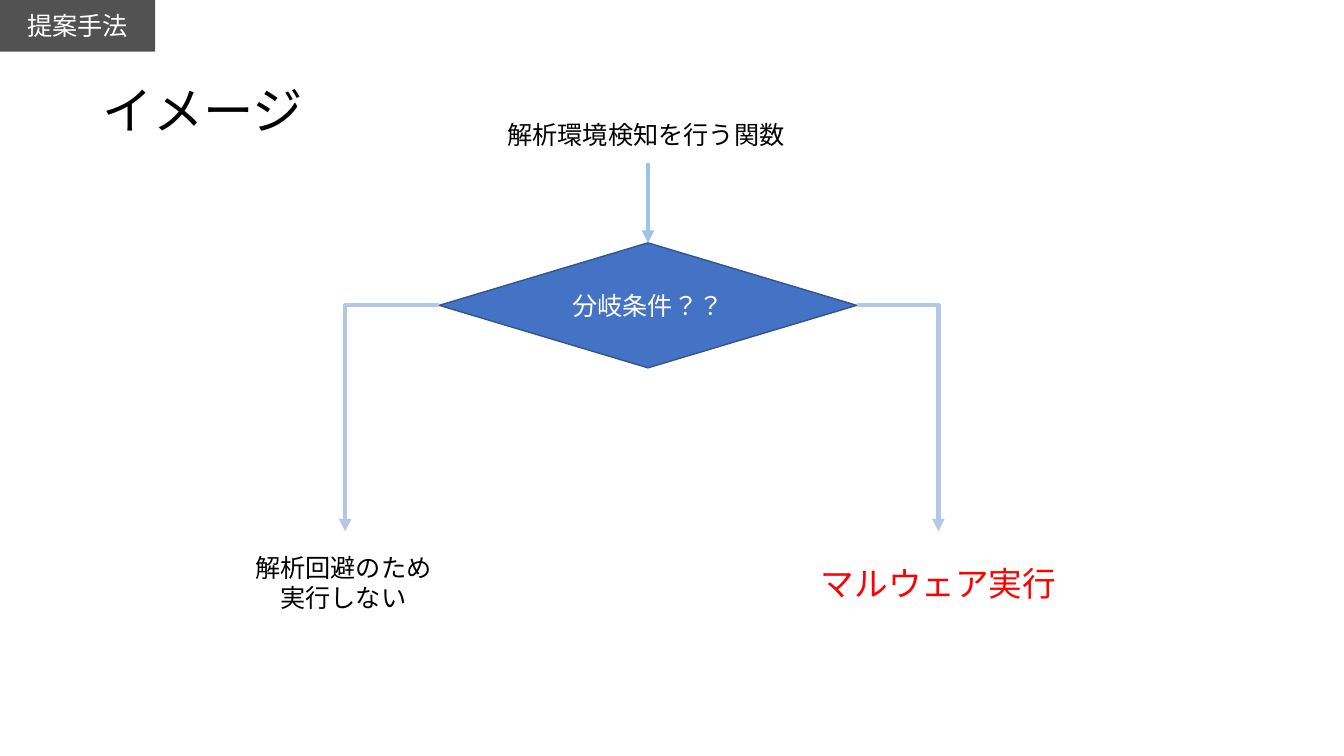
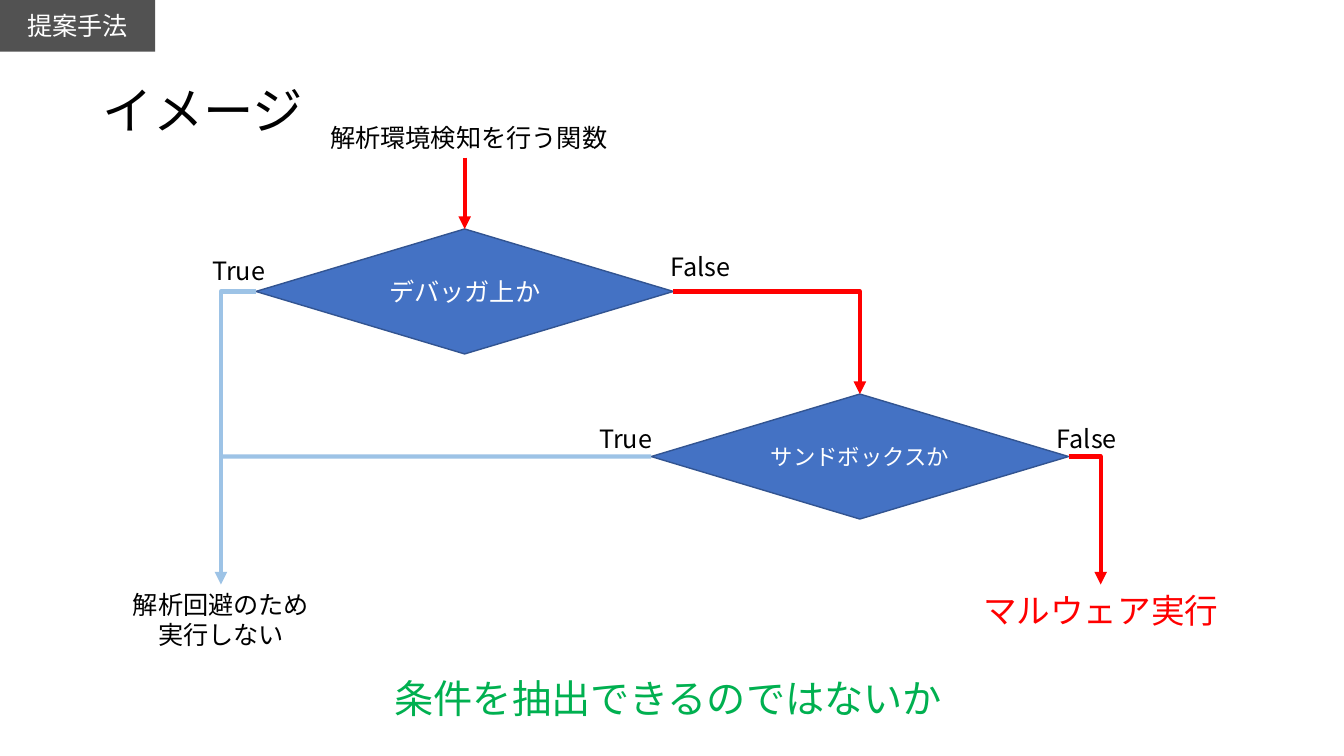
from lxml.etree import SubElement
from pptx import Presentation
from pptx.dml.color import RGBColor
from pptx.enum.lang import MSO_LANGUAGE_ID
from pptx.enum.shapes import MSO_CONNECTOR, MSO_SHAPE
from pptx.enum.text import MSO_ANCHOR, MSO_AUTO_SIZE, PP_ALIGN
from pptx.oxml.ns import qn
from pptx.util import Cm, Pt

COLORS = {
    "black": "000000", "white": "FFFFFF", "tag": "525252",
    "decision": "4472C4", "edge": "325491", "pale": "B4C7E7",
    "blue": "9DC3E6", "red": "FF0000", "green": "00B050",
}
FONT = "Noto Sans CJK JP"
TOP, LEFT, BOTTOM, RIGHT = range(4)
SITES = {TOP: (0.5, 0), LEFT: (0, 0.5), BOTTOM: (0.5, 1), RIGHT: (1, 0.5)}
DECISION_W, DECISION_H = 10.52, 3.15
LABEL = {"word_wrap": False, "auto_size": MSO_AUTO_SIZE.SHAPE_TO_FIT_TEXT}
MIDDLE = {"word_wrap": True, "vertical_anchor": MSO_ANCHOR.MIDDLE}


def rgb(name):
    return RGBColor.from_string(COLORS[name])


def set_all(obj, values):
    for name, value in values.items():
        setattr(obj, name, value)


def write(sp, text, size, color, frame, para):
    tf = sp.text_frame
    set_all(tf, frame)
    for i, line in enumerate(text.split("\n")):
        p = tf.add_paragraph() if i else tf.paragraphs[0]
        set_all(p, para)
        r = p.add_run()
        r.text = line
        set_all(r.font, {"size": Pt(size), "name": FONT,
                         "language_id": MSO_LANGUAGE_ID.JAPANESE})
        r.font.color.rgb = rgb(color)
        SubElement(r.font._element, qn("a:ea")).set("typeface", FONT)


def label(s, text, cx, top, w, h=1.02, size=18, color="black"):
    sp = s.shapes.add_textbox(Cm(cx - w / 2), Cm(top), Cm(w), Cm(h))
    write(sp, text, size, color, LABEL, {"alignment": PP_ALIGN.CENTER})
    return sp


def block(s, kind, box, fill, text, size=18, edge=None):
    sp = s.shapes.add_shape(kind, *map(Cm, box))
    sp.shadow.inherit = False
    sp.fill.solid()
    sp.fill.fore_color.rgb = rgb(fill)
    if edge:
        sp.line.color.rgb = rgb(edge)
        sp.line.width = Pt(1)
    else:
        sp.line.fill.background()
    write(sp, text, size, "white", MIDDLE, {"alignment": PP_ALIGN.CENTER})
    return sp


def decision(s, text, cx, top, size=18):
    box = (cx - DECISION_W / 2, top, DECISION_W, DECISION_H)
    return block(s, MSO_SHAPE.FLOWCHART_DECISION, box, "decision", text, size, "edge")


def locate(end):
    if isinstance(end[0], (int, float)):
        return Cm(end[0]), Cm(end[1])
    sp, site = end
    fx, fy = SITES[site]
    return int(sp.left + sp.width * fx), int(sp.top + sp.height * fy)


def connect(s, start, end, color, bent=False, arrow=True):
    kind = MSO_CONNECTOR.ELBOW if bent else MSO_CONNECTOR.STRAIGHT
    cxn = s.shapes.add_connector(kind, *locate(start), *locate(end))
    for target, join in ((start, cxn.begin_connect), (end, cxn.end_connect)):
        if not isinstance(target[0], (int, float)):
            join(*target)
    cxn.line.color.rgb = rgb(color)
    cxn.line.width = Pt(3)
    spPr = cxn._element.spPr
    if bent:
        spPr.find(qn("a:prstGeom")).set("prst", "bentConnector2")
    if arrow:
        SubElement(spPr.find(qn("a:ln")), qn("a:tailEnd")).set("type", "triangle")
    SubElement(spPr, qn("a:effectLst"))


def entry(s, cx, top):
    label(s, "解析環境検知を行う関数", cx, top, 7.57)


def avoided(s, cx, top):
    return label(s, "解析回避のため\n実行しない", cx, top, 5, 1.8)


def executed(s, cx, top):
    return label(s, "マルウェア実行", cx, top, 6.5, 1.27, 24, "red")


def header(s, x, y):
    title = s.shapes.add_textbox(Cm(x + 2.34), Cm(y + 1.02), Cm(29.21), Cm(3.68))
    write(title, "イメージ", 36, "black", MIDDLE, {"line_spacing": 0.9})
    block(s, MSO_SHAPE.RECTANGLE, (x, y, 3.91, 1.3), "tag", "提案手法")


def single_branch(s, x, y):
    cx, left, right = x + 10.13, x + 2.5, x + 17.45
    entry(s, cx - 0.05, y)
    branch = decision(s, "分岐条件？？", cx, y + 3.25)
    avoided(s, left - 0.05, y + 10.92)
    executed(s, right, y + 11.18)
    connect(s, (cx, y + 1.24), (branch, TOP), "blue")
    for site, end_x in ((LEFT, left), (RIGHT, right)):
        connect(s, (branch, site), (end_x, y + 10.52), "pale", bent=True)


def double_branch(s, x, y):
    cx, left = x + 8.64, x + 2.5
    entry(s, cx + 0.1, y)
    debugger = decision(s, "デバッガ上か", cx, y + 2.82)
    sandbox = decision(s, "サンドボックスか", x + 18.6, y + 6.98, 16)
    stop = avoided(s, left, y + 11.78)
    run = executed(s, x + 24.67, y + 11.78)
    connect(s, (cx, y + 1.02), (debugger, TOP), "red")
    connect(s, (debugger, RIGHT), (sandbox, TOP), "red", bent=True)
    connect(s, (sandbox, RIGHT), (run, TOP), "red", bent=True)
    connect(s, (debugger, LEFT), (stop, TOP), "blue", bent=True)
    join_y = y + 6.98 + DECISION_H / 2
    connect(s, (sandbox, LEFT), (left, join_y), "blue", arrow=False)
    answers = (("True", 2.95, 3.35), ("False", 14.59, 3.25),
               ("True", 12.7, 7.59), ("False", 24.32, 7.59))
    for text, dx, dy in answers:
        label(s, text, x + dx, y + dy, 2.5)
    label(s, "条件を抽出できるのではないか", x + 13.77, y + 13.92, 14.48, 1.45, 28, "green")


def main():
    prs = Presentation()
    set_all(prs, {"slide_width": Cm(33.87), "slide_height": Cm(19.05)})
    for diagram, x, y in ((single_branch, 6.2, 2.87), (double_branch, 3.07, 2.95)):
        s = prs.slides.add_slide(prs.slide_layouts[6])
        header(s, 0, 0)
        diagram(s, x, y)
    prs.save("out.pptx")


if __name__ == "__main__":
    main()
